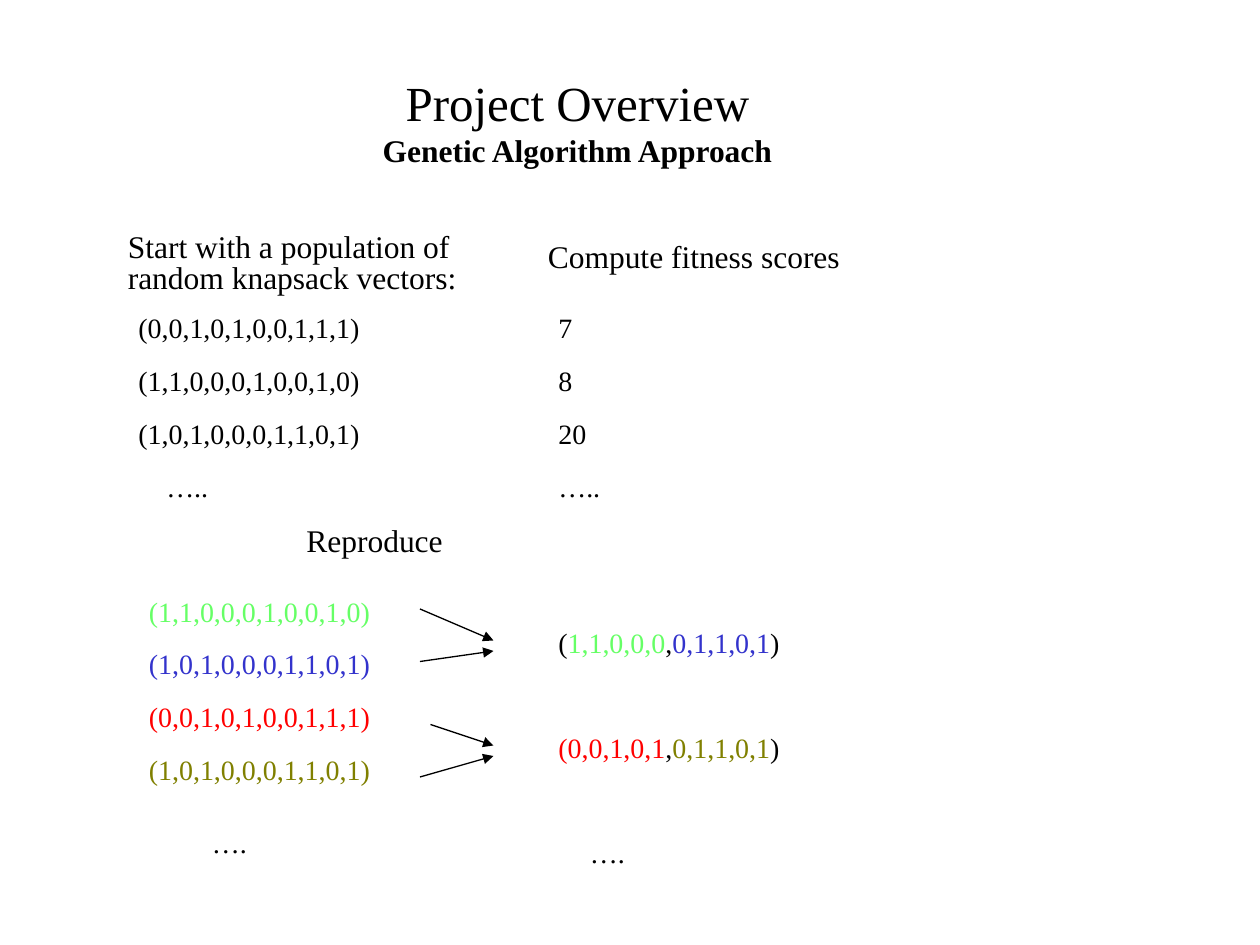
from pptx import Presentation
from pptx.dml.color import RGBColor
from pptx.enum.shapes import MSO_CONNECTOR as Connector
from pptx.enum.text import MSO_ANCHOR as Anchor, PP_ALIGN as Align
from pptx.oxml.ns import qn
from pptx.util import Inches, Pt
from lxml.etree import SubElement

BLACK = RGBColor(0x00, 0x00, 0x00)
GREEN = RGBColor(0x66, 0xFF, 0x66)
BLUE = RGBColor(0x33, 0x33, 0xCC)
RED = RGBColor(0xFF, 0x00, 0x00)
OLIVE = RGBColor(0x80, 0x80, 0x00)
FONT = "Times New Roman"
GRID = 12  # grid steps per inch; all positions below are in steps
HEADING, BODY = 18, 16

# Content: left, top, width, text
TITLE = ("Project Overview", "Genetic Algorithm Approach")
HEADINGS = [
    (11, 21, 34, "Start with a population of"),
    (11, 24, 43, "random knapsack vectors:"),
    (51, 22, 31, "Compute fitness scores"),
    (28, 49, 40, "Reproduce"),
]
# Left, top, width, paragraphs made of (text, colour) spans
VECTORS = [
    (12, 29, 25, [[("(0,0,1,0,1,0,0,1,1,1)", BLACK)], [("(1,1,0,0,0,1,0,0,1,0)", BLACK)],
                  [("(1,0,1,0,0,0,1,1,0,1)", BLACK)], [("…..", BLACK)]]),
    (52, 29, 25, [[(score, BLACK)] for score in ("7", "8", "20", "…..")]),
    (13, 56, 25, [[("(1,1,0,0,0,1,0,0,1,0)", GREEN)], [("(1,0,1,0,0,0,1,1,0,1)", BLUE)]]),
    (13, 66, 25, [[("(0,0,1,0,1,0,0,1,1,1)", RED)], [("(1,0,1,0,0,0,1,1,0,1)", OLIVE)]]),
    (52, 59, 25, [[("(", BLACK), ("1,1,0,0,0", GREEN), (",", BLACK),
                   ("0,1,1,0,1", BLUE), (")", BLACK)]]),
    (52, 69, 25, [[("(0,0,1,0,1", RED), (",", BLACK), ("0,1,1,0,1", OLIVE), (")", BLACK)]]),
    (19, 78, 14, [[("….", BLACK)]]),
    (55, 79, 14, [[("….", BLACK)]]),
]
# From x, from y, to x, to y
ARROWS = [(40, 58, 47, 61), (40, 63, 47, 62), (41, 69, 47, 71), (40, 74, 47, 72)]

deck = Presentation()
deck.slide_width, deck.slide_height = Inches(10), Inches(7.5)
page = deck.slides.add_slide(deck.slide_layouts[6])


def steps(count):
    return Inches(count / GRID)


def add_text(left, top, width, paragraphs, size):
    """Add a box of coloured spans, as high as its lines."""
    gap = 11
    lines = len(paragraphs)
    height = Inches(0.1) + Pt(1.2 * size * lines + gap * (lines - 1))
    box = page.shapes.add_textbox(steps(left), steps(top), steps(width), height)
    frame = box.text_frame
    frame.word_wrap = True
    for index, spans in enumerate(paragraphs):
        para = frame.paragraphs[0] if index == 0 else frame.add_paragraph()
        para.space_before = Pt(gap)
        para.font.name, para.font.size = FONT, Pt(size)
        for text, colour in spans:
            span = para.add_run()
            span.text = text
            span.font.color.rgb = colour
    return box


# Title with subtitle
box = page.shapes.add_textbox(steps(20), steps(7), steps(70), steps(9))
frame = box.text_frame
frame.word_wrap = True
frame.vertical_anchor = Anchor.MIDDLE
para = frame.paragraphs[0]
para.alignment = Align.CENTER
para.font.name, para.font.color.rgb = FONT, BLACK
main = para.add_run()
main.text, main.font.size = TITLE[0], Pt(28)
para.add_line_break()
sub = para.add_run()
sub.text, sub.font.size, sub.font.bold = TITLE[1], Pt(HEADING), True

# Headings and vectors
for left, top, width, text in HEADINGS:
    add_text(left, top, width, [[(text, BLACK)]], HEADING)
vector_boxes = [add_text(*vector, BODY) for vector in VECTORS]

# Indent the ellipsis below the population
ellipsis = vector_boxes[0].text_frame.paragraphs[-1]
ellipsis._p.get_or_add_pPr().set("marL", str(Pt(16)))

# Arrows from parents to offspring
for ends in ARROWS:
    arrow = page.shapes.add_connector(Connector.STRAIGHT, *map(steps, ends))
    arrow.line.color.rgb = BLACK
    arrow.line.width = Pt(0.74)
    SubElement(arrow.line._get_or_add_ln(), qn("a:tailEnd"), type="triangle")
    SubElement(arrow._element.spPr, qn("a:effectLst"))

deck.save("out.pptx")
